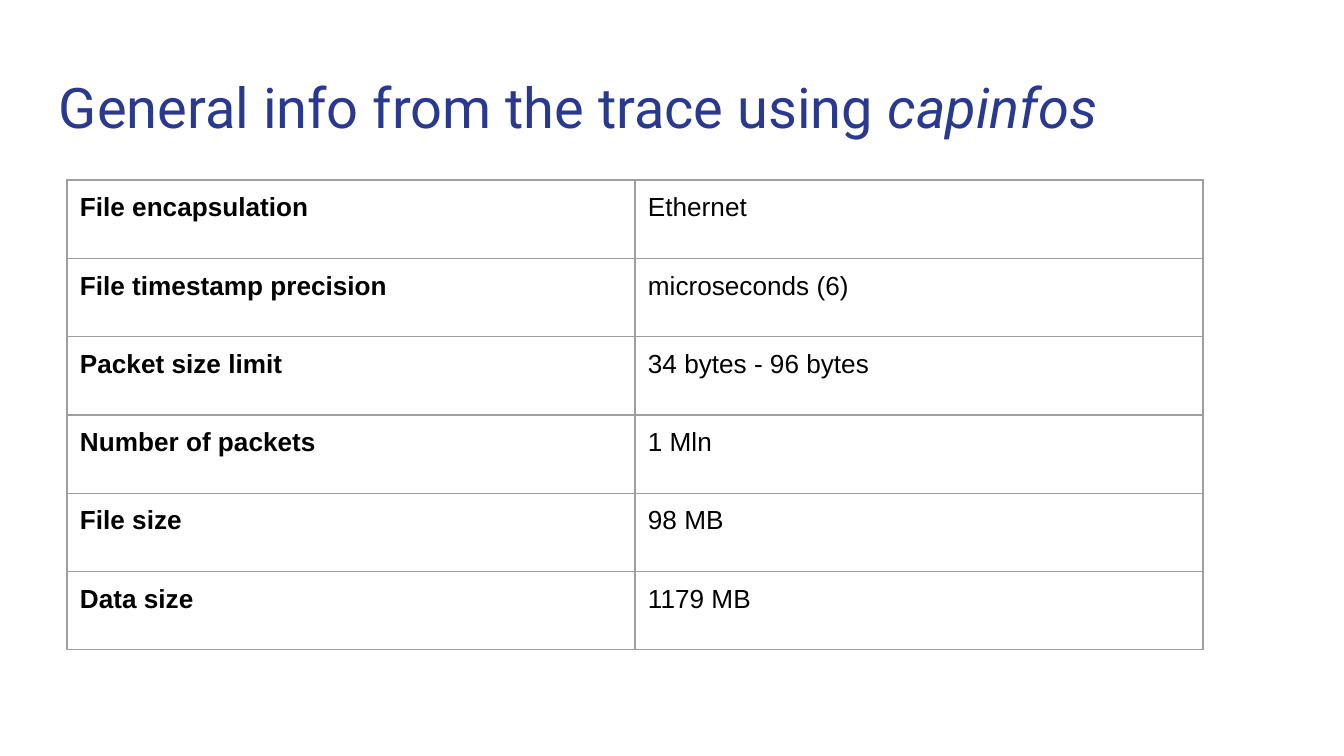
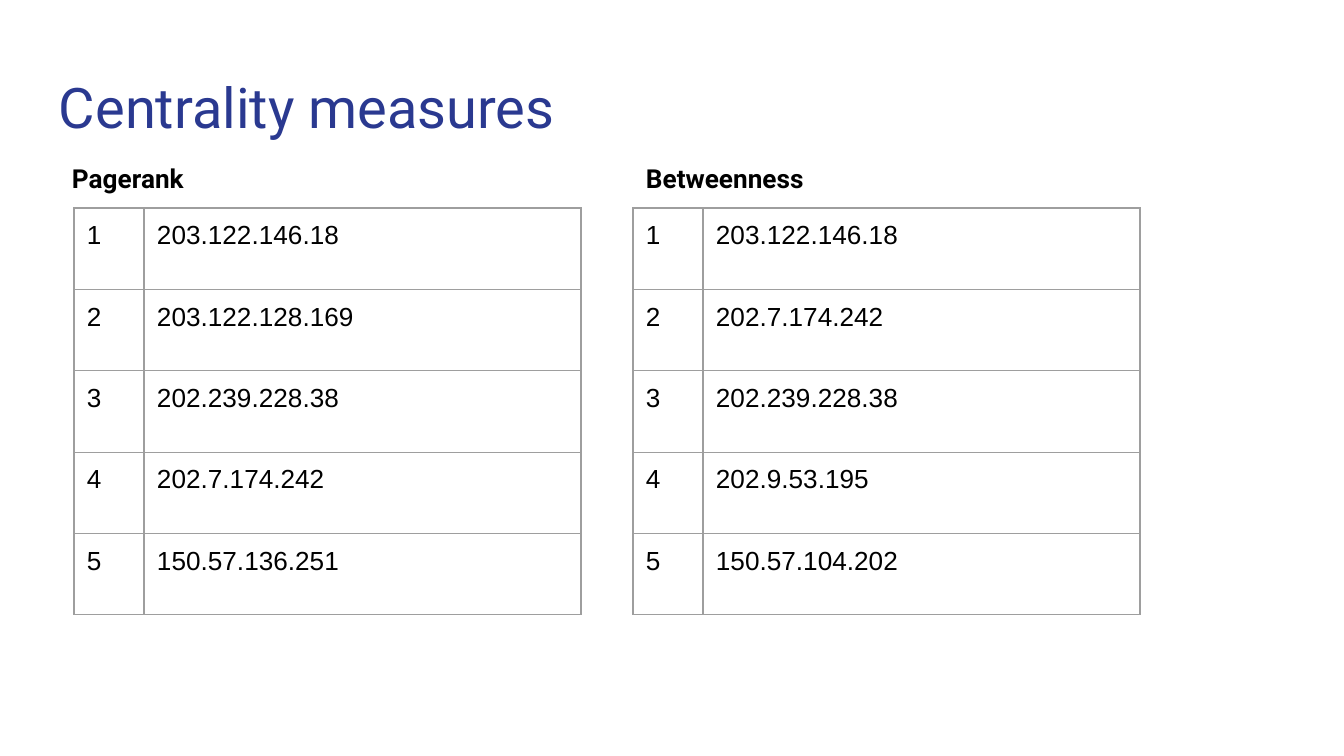
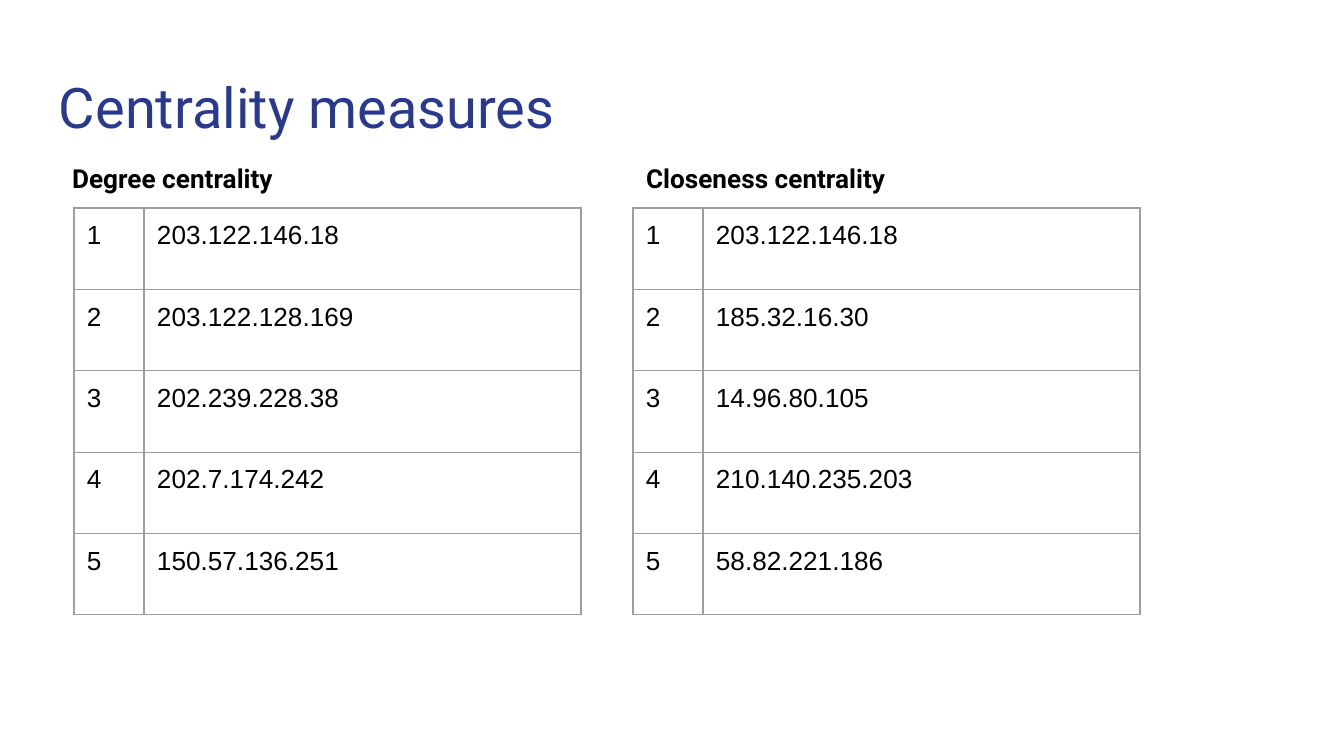
import pptx
import pptx.util
import pptx.dml.color
import pptx.enum.text
import pptx.oxml
import pptx.oxml.ns

PX = 6804  # EMU in one px
PAD = 13 * PX
BLUE, BLACK, GREY = "2A3990", "000000", "9E9E9E"
tint = pptx.dml.color.RGBColor.from_string

# Titles, with the words set in italics apart
heads = [("General info from the trace using ", "capinfos"),
         ("Centrality measures",),
         ("Centrality measures",)]

# Facts on the first slide
facts = [("File encapsulation", "Ethernet"),
         ("File timestamp precision", "microseconds (6)"),
         ("Packet size limit", "34 bytes - 96 bytes"),
         ("Number of packets", "1 Mln"),
         ("File size", "98 MB"),
         ("Data size", "1179 MB")]

# Rankings: slide, label, label left, label width, table left, hosts
ranks = [
    (1, "Pagerank", 59, 200, 74,
     ["203.122.146.18", "203.122.128.169", "202.239.228.38",
      "202.7.174.242", "150.57.136.251"]),
    (1, "Betweenness", 633, 200, 633,
     ["203.122.146.18", "202.7.174.242", "202.239.228.38",
      "202.9.53.195", "150.57.104.202"]),
    (2, "Degree centrality", 59, 363, 74,
     ["203.122.146.18", "203.122.128.169", "202.239.228.38",
      "202.7.174.242", "150.57.136.251"]),
    (2, "Closeness centrality", 633, 372, 633,
     ["203.122.146.18", "185.32.16.30", "14.96.80.105",
      "210.140.235.203", "58.82.221.186"]),
]


def style(run, face, size, hue, bold=False):
    run.font.name = face
    run.font.size = pptx.util.Pt(size)
    run.font.color.rgb = tint(hue)
    run.font.bold = bold


def write(slide, left, top, wide, high, text):
    box = slide.shapes.add_textbox(left * PX, top * PX, wide * PX, high * PX)
    frame = box.text_frame
    frame.text = text
    frame.word_wrap = True
    frame.margin_left = frame.margin_right = PAD
    frame.margin_top = frame.margin_bottom = PAD
    return frame


deck = pptx.Presentation()
deck.slide_width, deck.slide_height = 1344 * PX, 756 * PX

# Slides and titles
slides = []
for head in heads:
    slide = deck.slides.add_slide(deck.slide_layouts[6])
    slides.append(slide)
    para = write(slide, 46, 60, 1252, 89, head[0]).paragraphs[0]
    for part in head[1:]:
        run = para.add_run()
        run.text = part
        run.font.italic = True
    for run in para.runs:
        style(run, "Roboto", 30, BLUE)

# Grids: slide, left, top, height, column widths, rows, bold first column
grids = [(slides[0], 67, 180, 470, (568, 568), facts, True)]

# Ranking labels
for num, label, left, wide, edge, hosts in ranks:
    frame = write(slides[num], left, 149, wide, 59, label)
    frame.auto_size = pptx.enum.text.MSO_AUTO_SIZE.SHAPE_TO_FIT_TEXT
    style(frame.paragraphs[0].runs[0], "Roboto", 14, BLACK, True)
    rows = [(str(i), host) for i, host in enumerate(hosts, 1)]
    grids.append((slides[num], edge, 208, 407, (70, 437), rows, False))

# Tables
for slide, left, top, high, cols, rows, bold in grids:
    table = slide.shapes.add_table(len(rows), len(cols), left * PX, top * PX,
                                   sum(cols) * PX, high * PX).table
    table.first_row = table.horz_banding = False
    for col, wide in zip(table.columns, cols):
        col.width = wide * PX
    for r, row in enumerate(rows):
        table.rows[r].height = high * PX // len(rows)
        for c, text in enumerate(row):
            cell = table.cell(r, c)
            cell.text_frame.text = text
            style(cell.text_frame.paragraphs[0].runs[0], "Arial", 14, BLACK,
                  bold and c == 0)
            cell.margin_left = cell.margin_right = PAD
            cell.margin_top = cell.margin_bottom = PAD
            # Borders come before the fill in the cell properties
            props = cell._tc.get_or_add_tcPr()
            for side in "LRTB":
                props.append(pptx.oxml.parse_xml(
                    f'<a:ln{side} {pptx.oxml.ns.nsdecls("a")} w="9525">'
                    f'<a:solidFill><a:srgbClr val="{GREY}"/></a:solidFill>'
                    f'</a:ln{side}>'))
            cell.fill.background()

deck.save("out.pptx")
